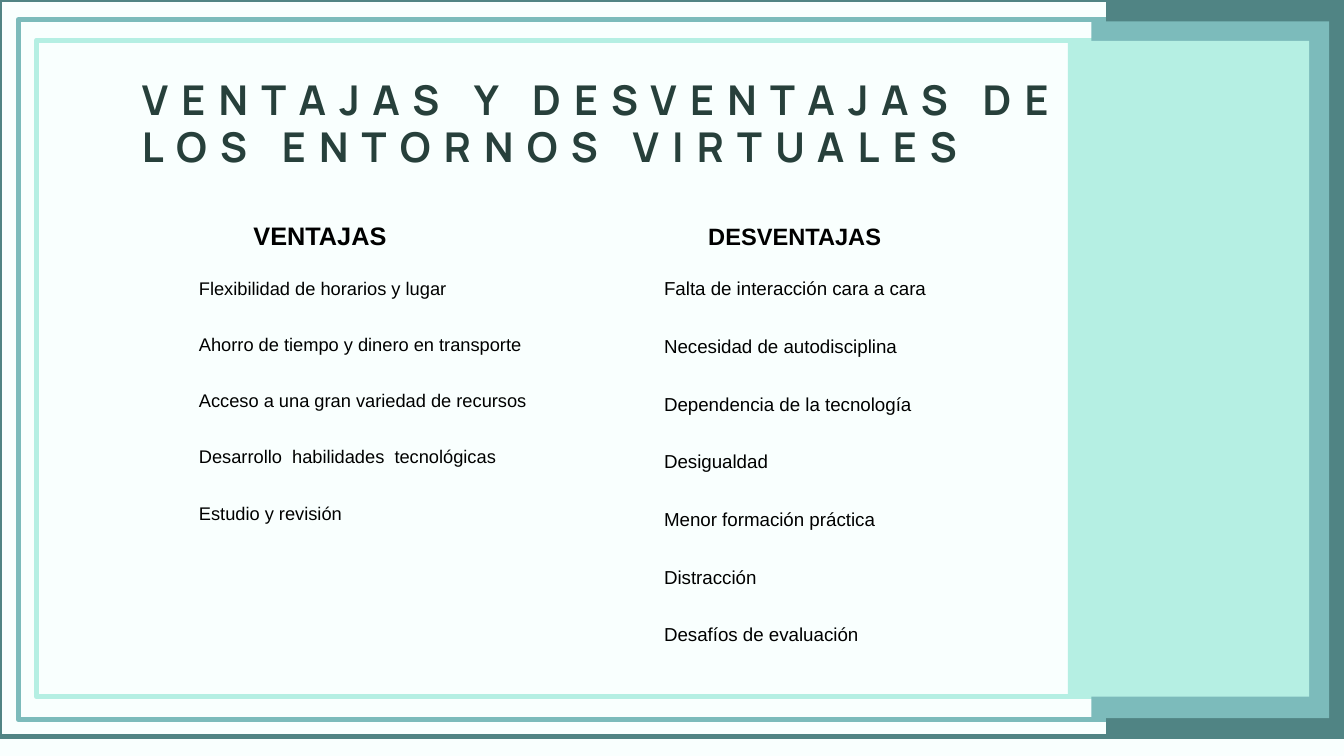
"""Builds the slide on advantages and disadvantages of virtual environments."""
from dataclasses import dataclass

from pptx import Presentation
from pptx.dml.color import RGBColor
from pptx.enum.shapes import MSO_SHAPE
from pptx.slide import Slide
from pptx.util import Cm, Pt


@dataclass(frozen=True)
class Theme:
    background: str = "F9FFFE"
    teal: str = "508484"
    aqua: str = "7CBBBB"
    mint: str = "B5EFE3"
    title_ink: str = "27403B"
    ink: str = "000000"
    title_font: str = "Manrope"
    body_font: str = "Arial"
    title_size: float = 44
    advantages_heading_size: float = 27.1
    drawbacks_heading_size: float = 25.3
    advantages_size: float = 19.6
    drawbacks_size: float = 20.1
    frame_width: float = 5.25


@dataclass(frozen=True)
class Box:
    left: float
    top: float
    width: float
    height: float

    def lengths(self) -> tuple[Cm, Cm, Cm, Cm]:
        return Cm(self.left), Cm(self.top), Cm(self.width), Cm(self.height)


@dataclass(frozen=True)
class Panel:
    box: Box
    color: str
    filled: bool = False


@dataclass(frozen=True)
class TextBlock:
    box: Box
    lines: tuple[str, ...]
    size: float
    leading: float
    font: str
    color: str
    bold: bool = False
    tracking: float = 0
    inset: float = 0


THEME = Theme()

PANELS = (
    Panel(Box(0, 0, 50.8, 27.84), THEME.teal),
    Panel(Box(0.69, 0.74, 49.48, 26.47), THEME.aqua),
    Panel(Box(1.37, 1.52, 47.93, 24.82), THEME.mint),
    Panel(Box(41.81, 0, 8.99, 27.84), THEME.teal, filled=True),
    Panel(Box(41.25, 0.81, 8.99, 26.34), THEME.aqua, filled=True),
    Panel(Box(40.36, 1.55, 9.12, 24.79), THEME.mint, filled=True),
)

TITLE = TextBlock(
    Box(5.36, 2.92, 38.38, 3.53),
    ("VENTAJAS Y DESVENTAJAS DE LOS ENTORNOS VIRTUALES",),
    THEME.title_size, 50.2, THEME.title_font, THEME.title_ink,
    bold=True, tracking=14.2,
)
DRAWBACKS = TextBlock(
    Box(25.1, 10.24, 12.88, 14.05),
    (
        "Falta de interacción cara a cara",
        "Necesidad de autodisciplina",
        "Dependencia de la tecnología",
        "Desigualdad",
        "Menor formación práctica",
        "Distracción",
        "Desafíos de evaluación",
    ),
    THEME.drawbacks_size, 30.9, THEME.body_font, THEME.ink,
)
ADVANTAGES = TextBlock(
    Box(7.52, 10.24, 12.55, 12.62),
    (
        "Flexibilidad de horarios y lugar",
        "Ahorro de tiempo y dinero en transporte",
        "Acceso a una gran variedad de recursos",
        "Desarrollo  habilidades  tecnológicas",
        "Estudio y revisión",
    ),
    THEME.advantages_size, 30.1, THEME.body_font, THEME.ink,
)
ADVANTAGES_HEADING = TextBlock(
    Box(9.58, 8, 13.28, 1.35), ("VENTAJAS",),
    THEME.advantages_heading_size, 41.8, THEME.body_font, THEME.ink, bold=True,
)
DRAWBACKS_HEADING = TextBlock(
    Box(24.54, 8.08, 12.42, 1.3), ("DESVENTAJAS",),
    THEME.drawbacks_heading_size, 39, THEME.body_font, THEME.ink,
    bold=True, inset=2.23,
)


def draw_panel(slide: Slide, panel: Panel) -> None:
    shape = slide.shapes.add_shape(MSO_SHAPE.RECTANGLE, *panel.box.lengths())
    shape.shadow.inherit = False
    color = RGBColor.from_string(panel.color)
    if panel.filled:
        shape.fill.solid()
        shape.fill.fore_color.rgb = color
        shape.line.fill.background()
    else:
        shape.fill.background()
        shape.line.color.rgb = color
        shape.line.width = Pt(THEME.frame_width)


def draw_text(slide: Slide, block: TextBlock) -> None:
    frame = slide.shapes.add_textbox(*block.box.lengths()).text_frame
    frame.word_wrap = True
    frame.margin_left = Cm(block.inset)
    frame.margin_top = frame.margin_right = frame.margin_bottom = 0
    frame.text = "\n".join(block.lines)
    for index, paragraph in enumerate(frame.paragraphs):
        paragraph.line_spacing = Pt(block.leading)
        if index:
            paragraph.space_before = Pt(block.leading)
        for run in paragraph.runs:
            run.font.name = block.font
            run.font.size = Pt(block.size)
            run.font.bold = block.bold
            run.font.color.rgb = RGBColor.from_string(block.color)
            if block.tracking:
                run._r.get_or_add_rPr().set("spc", str(round(block.tracking * 100)))


def main() -> None:
    presentation = Presentation()
    presentation.slide_width = Cm(50.8)
    presentation.slide_height = Cm(28.58)
    slide = presentation.slides.add_slide(presentation.slide_layouts[6])
    slide.background.fill.solid()
    slide.background.fill.fore_color.rgb = RGBColor.from_string(THEME.background)
    for panel in PANELS:
        draw_panel(slide, panel)
    for block in (TITLE, DRAWBACKS, ADVANTAGES, ADVANTAGES_HEADING, DRAWBACKS_HEADING):
        draw_text(slide, block)
    presentation.save("out.pptx")


if __name__ == "__main__":
    main()
